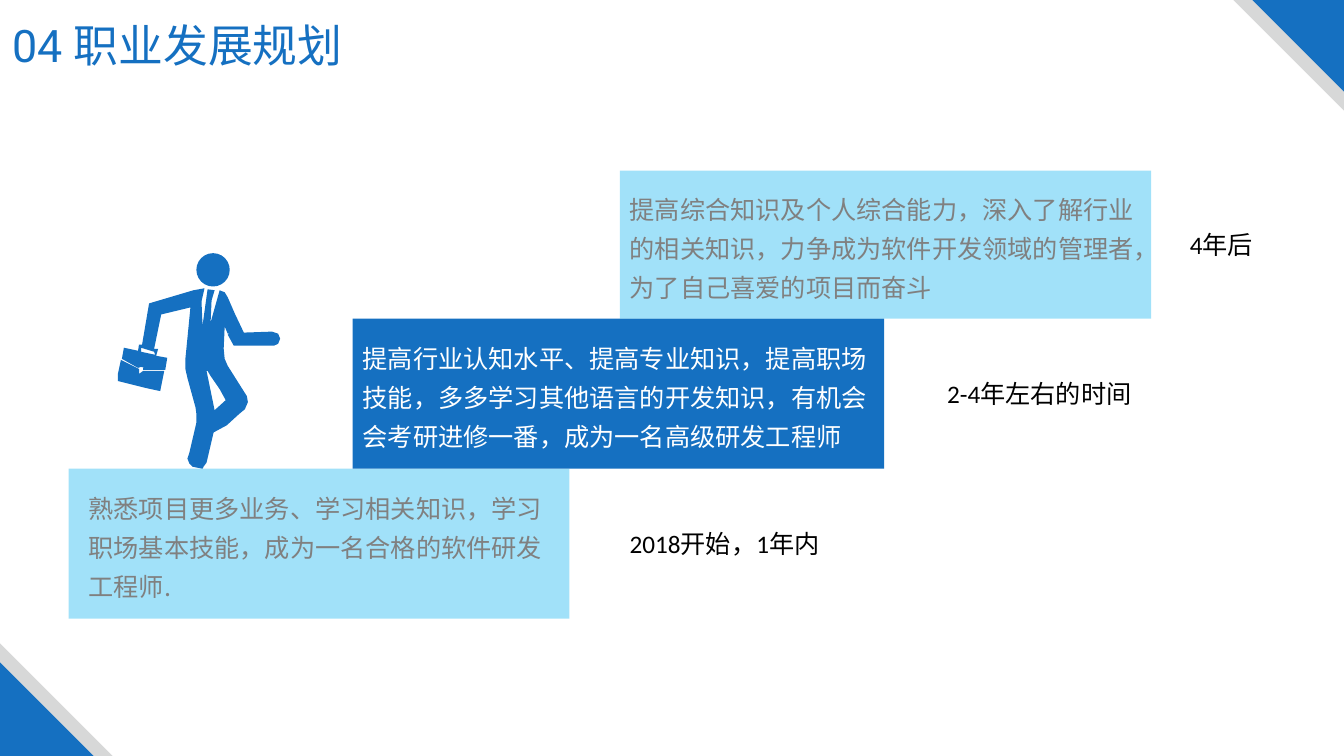
from dataclasses import dataclass

from lxml.etree import SubElement
from pptx import Presentation
from pptx.dml.color import RGBColor
from pptx.enum.shapes import MSO_SHAPE
from pptx.enum.text import MSO_ANCHOR, MSO_AUTO_SIZE, PP_ALIGN
from pptx.oxml.ns import qn
from pptx.util import Cm, Pt


@dataclass(frozen=True)
class Theme:
    blue: str = "1570C1"
    sky: str = "00B0F0"
    silver: str = "D7D8D8"
    gray: str = "808080"
    white: str = "FFFFFF"
    black: str = "000000"
    sky_opacity: int = 37
    title_size: int = 32
    body_size: int = 18
    title_font: str = "Roboto"
    body_font: str = "Noto Sans CJK SC"
    label_font: str = "Calibri"


THEME = Theme()

# Content: steps from the bottom up, lengths in cm
TITLE = "04 职业发展规划"
STEPS = [
    dict(plan="熟悉项目更多业务、学习相关知识，学习职场基本技能，成为一名合格的软件研发工程师.",
         period="2018开始，1年内", left=1.73, width=12.62, height=3.78, margin=0.25,
         period_left=15.62, period_width=7.44, current=False),
    dict(plan="提高行业认知水平、提高专业知识，提高职场技能，多多学习其他语言的开发知识，有机会会考研进修一番，成为一名高级研发工程师",
         period="2-4年左右的时间", left=8.89, width=13.39, height=3.78, margin=0,
         period_left=23.62, period_width=7.44, current=True),
    dict(plan="提高综合知识及个人综合能力，深入了解行业的相关知识，力争成为软件开发领域的管理者，为了自己喜爱的项目而奋斗",
         period="4年后", left=15.62, width=13.39, height=3.73, margin=0,
         period_left=29.74, period_width=2.84, current=False),
]
STAIRS_BOTTOM = 15.59
PLAN_HEIGHT, PERIOD_HEIGHT = 3.25, 1.02

# Climber outlines, in units of 0.0254 cm
CLIMBER_UNIT = Cm(0.0254)
BODY = [
    (192, 288), (203, 286), (200, 299), (201, 323), (206, 287), (213, 288),
    (210, 298), (209, 320), (218, 288), (223, 290), (226, 295), (233, 311),
    (242, 330), (270, 329), (276, 331), (278, 336), (276, 341), (272, 343),
    (232, 343), (226, 332), (228, 331), (226, 331), (223, 324), (222, 346),
    (223, 356), (226, 363), (245, 393), (246, 399), (243, 406), (237, 411),
    (225, 422), (212, 429), (205, 459), (202, 463), (201, 465), (191, 463),
    (188, 460), (186, 455), (188, 449), (195, 419), (195, 411), (194, 404),
    (186, 375), (184, 366), (184, 356), (189, 305), (160, 312), (153, 346),
    (157, 346), (155, 353), (166, 355), (164, 367), (142, 367), (142, 365),
    (144, 365), (140, 364), (137, 365), (121, 356), (123, 345), (137, 348),
    (138, 342), (141, 342), (148, 301),
]
HANDLE_GAP = [(140, 349), (154, 352), (153, 349), (140, 345)]
LEG_GAP = [(205, 368), (213, 407), (224, 397), (218, 386), (209, 373), (206, 368)]
CASE = [(120, 357), (138, 366), (138, 371), (142, 368), (163, 368), (159, 388),
        (145, 385), (117, 378), (117, 371)]
HEAD = (4.95, 6.38, 0.84)

prs = Presentation()
prs.slide_width, prs.slide_height = Cm(33.87), Cm(19.05)
slide = prs.slides.add_slide(prs.slide_layouts[5])
shapes = slide.shapes


def paint(shape, color, opacity=None):
    shape.shadow.inherit = False
    shape.line.fill.background()
    shape.fill.solid()
    shape.fill.fore_color.rgb = RGBColor.from_string(color)
    if opacity is not None:
        solid = shape.fill._xPr.find(qn("a:solidFill"))
        SubElement(solid[0], qn("a:alpha"), val=str(opacity * 1000))
    return shape


def add_filled(kind, left, top, width, height, color, opacity=None):
    shape = shapes.add_shape(kind, Cm(left), Cm(top), Cm(width), Cm(height))
    return paint(shape, color, opacity)


def write(holder, text, font, size, color, spacing=None):
    frame = holder.text_frame
    frame.text = text
    frame.word_wrap = True
    frame.vertical_anchor = MSO_ANCHOR.TOP
    frame.auto_size = MSO_AUTO_SIZE.NONE
    line = frame.paragraphs[0]
    line.alignment = PP_ALIGN.LEFT
    if spacing:
        line.line_spacing = spacing
    for run in line.runs:
        run.font.name = font
        run.font.size = Pt(size)
        run.font.color.rgb = RGBColor.from_string(color)
        SubElement(run.font._element, qn("a:ea"), typeface=THEME.body_font)


def add_text(left, top, width, height, *style):
    write(shapes.add_textbox(Cm(left), Cm(top), Cm(width), Cm(height)), *style)


def add_outline(*contours):
    first, *gaps = contours
    builder = shapes.build_freeform(*first[0], scale=CLIMBER_UNIT)
    builder.add_line_segments(first[1:], close=True)
    for gap in gaps:
        builder.move_to(*gap[0])
        builder.add_line_segments(gap[1:], close=True)
    paint(builder.convert_to_shape(), THEME.blue)


# Corner triangles: top right, then bottom left
for top_side, bottom_side, color in [(2.79, 2.84, THEME.silver), (2.31, 2.36, THEME.blue)]:
    add_filled(MSO_SHAPE.RIGHT_TRIANGLE, prs.slide_width.cm - top_side, 0,
               top_side, top_side, color).rotation = 180
    add_filled(MSO_SHAPE.RIGHT_TRIANGLE, 0, prs.slide_height.cm - bottom_side,
               bottom_side, bottom_side, color)

# Title
title = shapes.title
title.left, title.top, title.width, title.height = Cm(0.05), Cm(0.33), Cm(15.04), Cm(1.63)
write(title, TITLE, THEME.title_font, THEME.title_size, THEME.blue)

# Climber
add_outline(BODY, HANDLE_GAP, LEG_GAP)
add_outline(CASE)
head_left, head_top, head_side = HEAD
add_filled(MSO_SHAPE.OVAL, head_left, head_top, head_side, head_side, THEME.blue)

# Stairs: each step rests on the one below, its texts centred on its height
step_top = STAIRS_BOTTOM
for step in STEPS:
    step_top -= step["height"]
    middle = step_top + step["height"] / 2
    fill, opacity, ink = ((THEME.blue, None, THEME.white) if step["current"]
                          else (THEME.sky, THEME.sky_opacity, THEME.gray))
    add_filled(MSO_SHAPE.RECTANGLE, step["left"], step_top, step["width"],
               step["height"], fill, opacity)
    add_text(step["left"] + step["margin"], middle - PLAN_HEIGHT / 2,
             step["width"] - 2 * step["margin"], PLAN_HEIGHT,
             step["plan"], THEME.body_font, THEME.body_size, ink, 1.3)
    add_text(step["period_left"], middle - PERIOD_HEIGHT / 2,
             step["period_width"], PERIOD_HEIGHT,
             step["period"], THEME.label_font, THEME.body_size, THEME.black)

prs.save("out.pptx")
